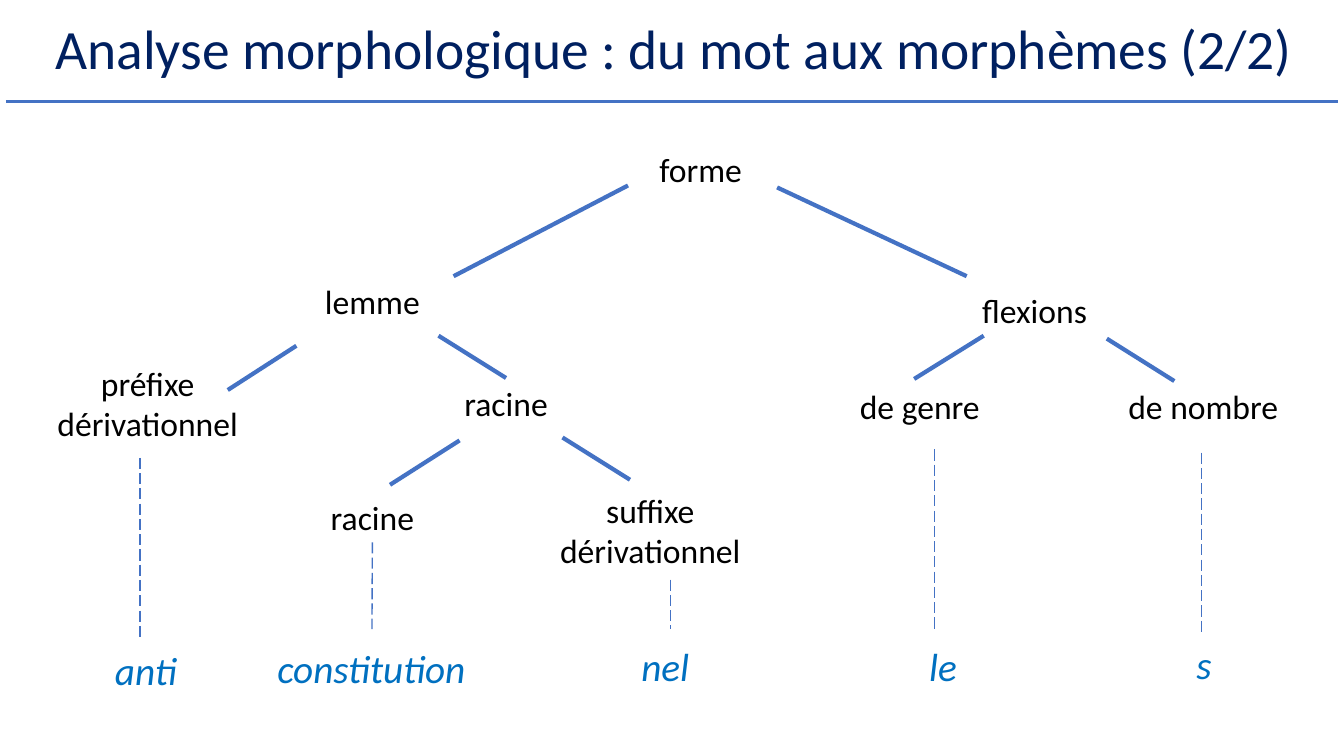
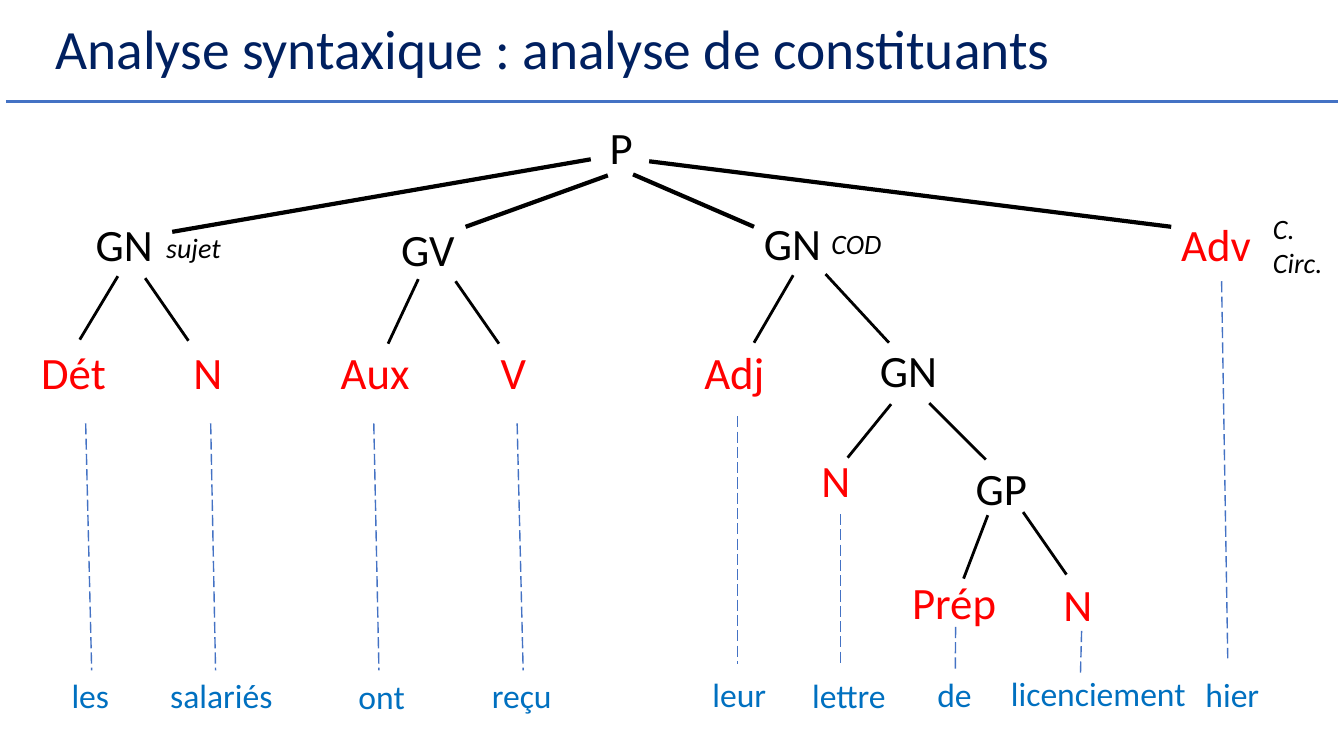
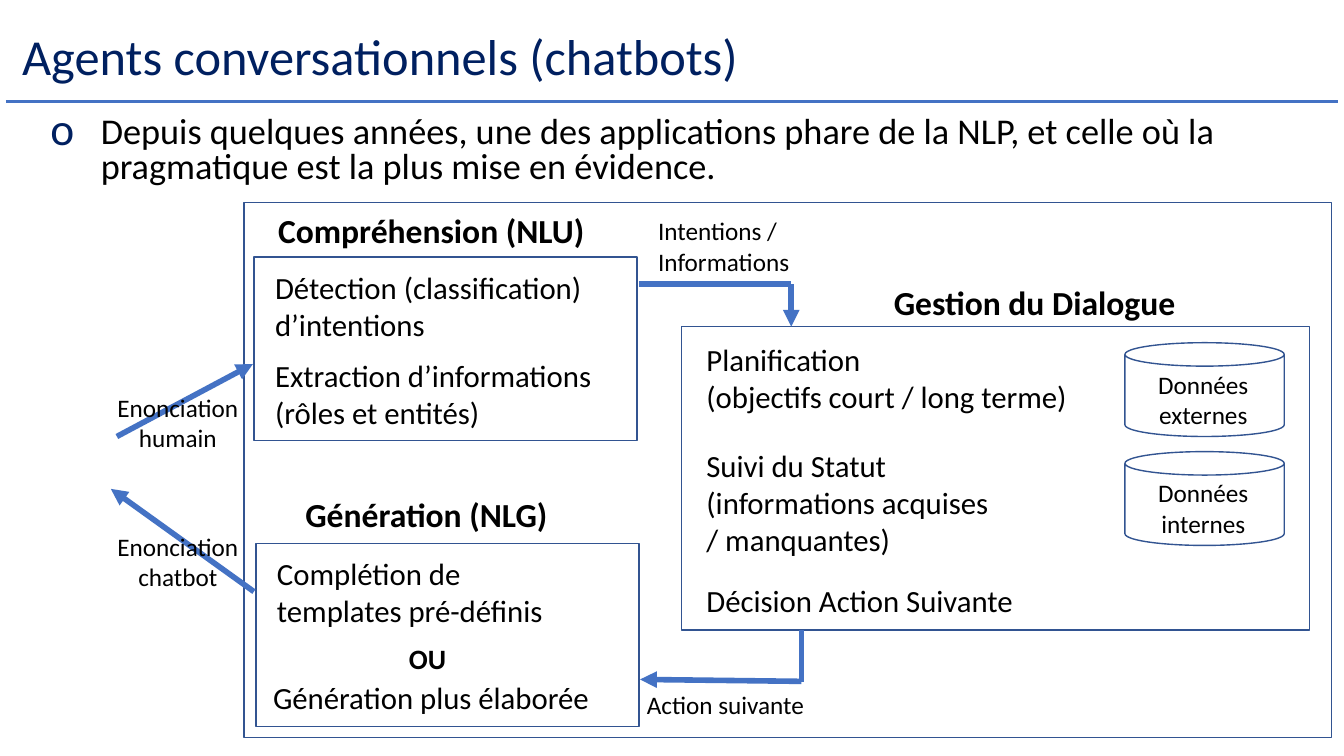
from lxml import etree
from pptx import Presentation
from pptx.dml.color import RGBColor
from pptx.enum.dml import MSO_LINE
from pptx.enum.shapes import MSO_CONNECTOR, MSO_SHAPE
from pptx.enum.text import MSO_ANCHOR, MSO_AUTO_SIZE, PP_ALIGN
from pptx.oxml.ns import qn
from pptx.util import Pt

BLACK = RGBColor(0x00, 0x00, 0x00)
NAVY = RGBColor(0x00, 0x20, 0x60)
BLUE = RGBColor(0x44, 0x72, 0xC4)
BORDER = RGBColor(0x32, 0x54, 0x91)
WORD = RGBColor(0x00, 0x70, 0xC0)
RED = RGBColor(0xFF, 0x00, 0x00)
FONT = "Calibri"
STRAIGHT = MSO_CONNECTOR.STRAIGHT
LONG_DASH = MSO_LINE.LONG_DASH
RECTANGLE = MSO_SHAPE.RECTANGLE
CAN = MSO_SHAPE.CAN
MIDDLE = MSO_ANCHOR.MIDDLE
NO_AUTOFIT = MSO_AUTO_SIZE.NONE
LEFT = PP_ALIGN.LEFT
CENTER = PP_ALIGN.CENTER
TOP, BOTTOM = 0, 2


def write(slide, text, left, top, width, size, color=BLACK, align=LEFT, bold=False, italic=False):
    height = 1.2 * size * len(text.split("\n")) + 7.2
    box = slide.shapes.add_textbox(Pt(left), Pt(top), Pt(width), Pt(height))
    frame = box.text_frame
    frame.word_wrap = True
    frame.text = text
    for paragraph in frame.paragraphs:
        paragraph.alignment = align
        paragraph.font.name = FONT
        paragraph.font.size = Pt(size)
        paragraph.font.color.rgb = color
        paragraph.font.bold = bold
        paragraph.font.italic = italic
    return box


def link(slide, x1, y1, x2, y2, color, width, dashed=False, arrow=False):
    connector = slide.shapes.add_connector(STRAIGHT, Pt(x1), Pt(y1), Pt(x2), Pt(y2))
    connector.line.color.rgb = color
    connector.line.width = Pt(width)
    if dashed:
        connector.line.dash_style = LONG_DASH
    if arrow:
        etree.SubElement(connector.line._get_or_add_ln(), qn("a:tailEnd"), type="triangle")
    etree.SubElement(connector._element.spPr, qn("a:effectLst"))
    return connector


presentation = Presentation()
presentation.slide_width = Pt(960)
presentation.slide_height = Pt(540)
TITLE_AND_CONTENT = presentation.slide_layouts[1]
TITLE_ONLY = presentation.slide_layouts[5]

slides = []
for layout, heading, left, top, width, height, size in [
    (TITLE_ONLY, "Analyse morphologique : du mot aux morphèmes (2/2)", 32.4, 10.8, 916, 52, 39.6),
    (TITLE_ONLY, "Analyse syntaxique : analyse de constituants", 32.4, 10.8, 902, 52, 39.6),
    (TITLE_AND_CONTENT, "Agents conversationnels (chatbots)", 8.6, 8.6, 942, 67, 36),
]:
    slide = presentation.slides.add_slide(layout)
    title = slide.shapes.title
    title.left, title.top, title.width, title.height = Pt(left), Pt(top), Pt(width), Pt(height)
    title.text_frame.text = heading
    title.text_frame.auto_size = NO_AUTOFIT
    title.text_frame.vertical_anchor = MIDDLE
    paragraph = title.text_frame.paragraphs[0]
    paragraph.alignment = LEFT
    paragraph.line_spacing = 0.9
    paragraph.font.name = FONT
    paragraph.font.size = Pt(size)
    paragraph.font.color.rgb = NAVY
    slides.append(slide)
morphology, syntax, chatbots = slides

title_rule = link(morphology, 4.3, 72.7, 955.4, 72.7, BLUE, 2)
presentation.slide_master.element.cSld.spTree.append(title_rule._element)

nodes = [
    write(morphology, text, left, top, width, 24, align=CENTER)
    for text, left, top, width in [
        ("forme", 462, 103, 77),
        ("lemme", 224, 197.3, 84),
        ("flexions", 693, 203.8, 92),
        ("préfixe\ndérivationnel", 32, 255.6, 147),
        ("racine", 323.5, 270, 76),
        ("racine", 228, 351.4, 76),
        ("suffixe\ndérivationnel", 391, 346.3, 147),
        ("de genre", 605.5, 272.2, 103),
        ("de nombre", 797, 272.2, 125),
    ]
]
stem, root = nodes[4:6]

for text, left, top, width in [
    ("anti", 75, 458, 62),
    ("constitution", 191, 457, 153),
    ("nel", 451, 455, 50),
    ("le", 656.6, 455, 50),
    ("s", 847.5, 453.6, 50),
]:
    write(morphology, text, left, top, width, 28, WORD, italic=True)

for x1, y1, x2, y2, child in [
    (448.6, 132.5, 324, 197.3, None),
    (211.7, 247, 162.7, 278.6, None),
    (313.2, 239.8, 361.4, 270, stem),
    (328.3, 314.6, 278.6, 346.3, None),
    (401.8, 312.5, 450, 342.7, None),
    (555.1, 133.9, 690.5, 197.3, None),
    (702.7, 239.8, 653, 270.7, None),
    (790.6, 241.9, 838.8, 272.2, None),
]:
    branch = link(morphology, x1, y1, x2, y2, BLUE, 3)
    if child:
        branch.end_connect(child, TOP)

for x, top, bottom, parent in [
    (100, 327, 455, None),
    (667.4, 321, 449.3, None),
    (858.2, 323.3, 451.4, None),
    (265.7, 387.4, 449.3, root),
    (478.8, 414, 449.3, None),
]:
    leaf_line = link(morphology, x, top, x, bottom, BLUE, 1, dashed=True)
    if parent:
        leaf_line.begin_connect(parent, BOTTOM)

for text, left, top, width, color in [
    ("P", 428.4, 82, 34, BLACK),
    ("GN", 61.2, 151.2, 58, BLACK),
    ("GV", 279.4, 154.8, 56, BLACK),
    ("GN", 538.6, 150.5, 58, BLACK),
    ("Adv", 836.6, 151.2, 68, RED),
    ("Dét", 22.3, 242.6, 70, RED),
    ("N", 131, 242.6, 38, RED),
    ("Aux", 236.2, 242.6, 70, RED),
    ("V", 350.6, 242.6, 38, RED),
    ("Adj", 496, 242.6, 70, RED),
    ("GN", 621.4, 241.2, 58, BLACK),
    ("N", 579.6, 319.7, 38, RED),
    ("GP", 689.8, 325.4, 54, BLACK),
    ("Prép", 644.4, 406.8, 88, RED),
    ("N", 752.4, 408.2, 38, RED),
]:
    write(syntax, text, left, top, width, 32, color)

words = {
    text: write(syntax, text, left, top, width, 24, WORD)
    for text, left, top, width in [
        ("les", 44, 478.8, 43),
        ("salariés", 114.5, 478.8, 90),
        ("ont", 249, 479.5, 50),
        ("reçu", 344.2, 478.8, 59),
        ("leur", 501.8, 478, 55),
        ("lettre", 573, 478.8, 70),
        ("de", 662.4, 478, 40),
        ("licenciement", 715, 477.4, 142),
        ("hier", 854, 478, 55),
    ]
}

for text, left, top, width in [
    ("sujet", 111.6, 161.3, 56),
    ("COD", 586.8, 158.4, 52),
    ("C.\nCirc.", 902.2, 147.6, 52),
]:
    write(syntax, text, left, top, width, 20, italic=True)

for width, branches in [
    (3, [
        (422, 113.8, 123, 165.6),
        (434.2, 125.3, 332.6, 162),
        (452.2, 124.6, 538.6, 162),
        (463.7, 115.2, 836.6, 162),
    ]),
    (2, [
        (84.2, 197.3, 57, 242.6),
        (103.7, 198.7, 134.6, 243.4),
        (298.8, 199.4, 277.2, 245.5),
        (325.4, 200.9, 356.4, 245.5),
        (566.6, 196.6, 538.6, 244.8),
        (589.7, 195.8, 635, 244.8),
        (636.5, 288.7, 605.5, 326.9),
        (663.8, 288, 704.2, 328.3),
        (705.6, 368, 688.3, 413.3),
        (730.8, 365.8, 761.8, 410.4),
    ]),
]:
    for branch in branches:
        link(syntax, *branch, BLACK, width)

for x1, y1, x2, y2, word in [
    (61.2, 302.4, 64.8, 478.8, "les"),
    (150.5, 302.4, 154, 478.8, None),
    (267, 302.4, 270.7, 478.8, None),
    (369.4, 302.4, 373.7, 478.8, "reçu"),
    (527, 297.4, 527, 474.5, None),
    (872.6, 200.9, 877, 470.2, None),
    (600.5, 367.2, 600.5, 474.5, None),
    (682.6, 447.8, 681.8, 478, "de"),
    (772.6, 450.7, 771.8, 481, None),
]:
    leaf_line = link(syntax, x1, y1, x2, y2, BLUE, 1, dashed=True)
    if word:
        leaf_line.end_connect(words[word], TOP)

body = chatbots.placeholders[1]
body.left, body.top, body.width, body.height = Pt(28.8), Pt(80), Pt(922), Pt(61)
body.text_frame.auto_size = NO_AUTOFIT
body.text_frame.text = (
    "Depuis quelques années, une des applications phare de la NLP, "
    "et celle où la pragmatique est la plus mise en évidence."
)
paragraph = body.text_frame.paragraphs[0]
paragraph.line_spacing = 0.8
paragraph.space_before = Pt(10)
paragraph.font.name = FONT
paragraph.font.size = Pt(25.9)
paragraph.font.color.rgb = BLACK
properties = paragraph._p.get_or_add_pPr()
properties.set("marL", str(Pt(36)))
properties.set("indent", str(Pt(-36)))
bullet_color = etree.SubElement(properties, qn("a:buClr"))
etree.SubElement(bullet_color, qn("a:srgbClr"), val=str(NAVY))
etree.SubElement(properties, qn("a:buSzPct"), val="125000")
etree.SubElement(properties, qn("a:buFont"), typeface=FONT)
etree.SubElement(properties, qn("a:buChar"), char="o")

for preset, left, top, width, height in [
    (RECTANGLE, 174.2, 144.7, 777, 382.3),
    (RECTANGLE, 181.4, 183.6, 273.6, 131),
    (RECTANGLE, 486.7, 233.3, 448.6, 216.7),
    (RECTANGLE, 182.9, 388, 273.6, 131),
    (CAN, 803.5, 244.8, 113.8, 67),
    (CAN, 803.5, 322.6, 113.8, 67),
]:
    shape = chatbots.shapes.add_shape(preset, Pt(left), Pt(top), Pt(width), Pt(height))
    shape.shadow.inherit = False
    shape.fill.background()
    shape.line.color.rgb = BORDER
    shape.line.width = Pt(1)

for x1, y1, x2, y2, arrow in [
    (83.5, 311.8, 180.7, 260, True),
    (181.4, 422.6, 79.2, 349.2, True),
    (456.5, 203, 565.2, 203, False),
    (565.2, 203, 565.2, 233.3, True),
    (572.4, 450, 572.4, 487.4, False),
    (572.4, 486.7, 457.2, 485.3, True),
]:
    link(chatbots, x1, y1, x2, y2, BLUE, 4, arrow=arrow)

for text, left, top, width, size in [
    ("Compréhension (NLU)", 191.5, 146.2, 240, 24),
    ("Gestion du Dialogue", 631.4, 198, 225, 24),
    ("Génération (NLG)", 211, 349.2, 195, 24),
    ("OU", 285, 455, 43, 20),
]:
    write(chatbots, text, left, top, width, size, bold=True)

for text, left, top, width in [
    ("Détection (classification)\nd’intentions", 189.4, 188.6, 240),
    ("Extraction d’informations\n(rôles et entités)", 189.4, 251.3, 246),
    ("Planification\n(objectifs court / long terme)", 497.5, 239.8, 278),
    ("Suivi du Statut\n(informations acquises\n/ manquantes)", 497.5, 315.4, 234),
    ("Décision Action Suivante", 497.5, 411.8, 239),
    ("Complétion de\ntemplates pré-définis", 190.8, 392.4, 210),
    ("Génération plus élaborée", 188, 481, 246),
]:
    write(chatbots, text, left, top, width, 22)

for text, left, top, width, align in [
    ("Données\nexternes", 818.5, 260, 82, CENTER),
    ("Données\ninternes", 818.5, 337.7, 82, CENTER),
    ("Intentions /\nInformations", 463, 150.5, 112, LEFT),
    ("Action suivante", 455, 488.9, 131, LEFT),
    ("Enonciation\nhumain", 75, 276.5, 104, CENTER),
    ("Enonciation\nchatbot", 75, 375.8, 104, CENTER),
]:
    write(chatbots, text, left, top, width, 18, align=align)

presentation.save("out.pptx")
